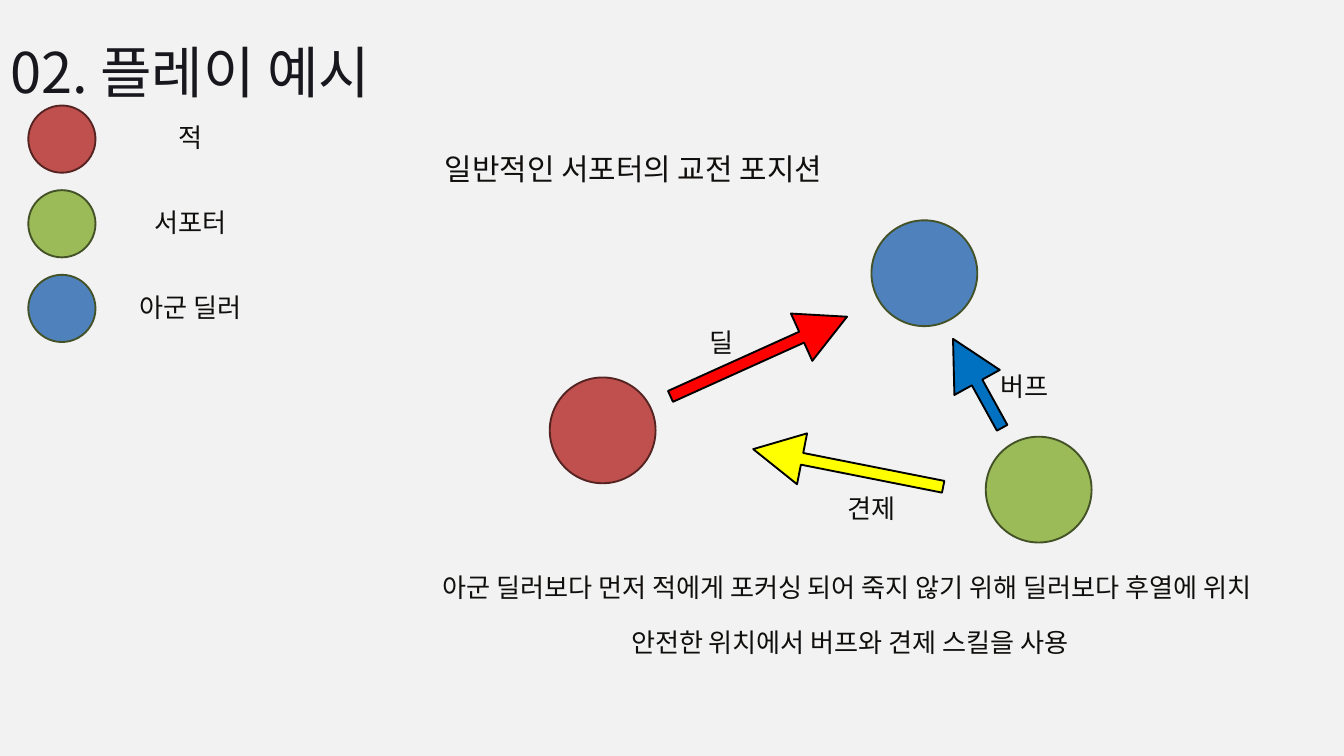
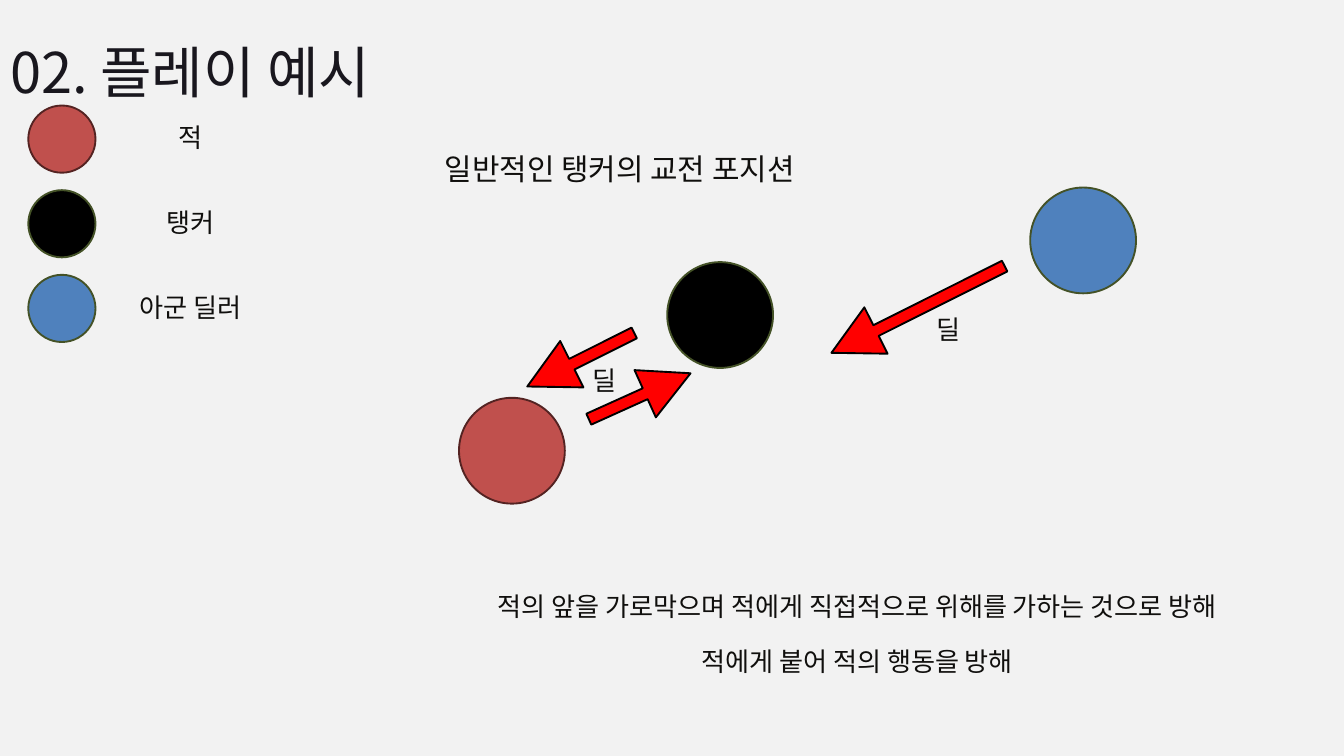
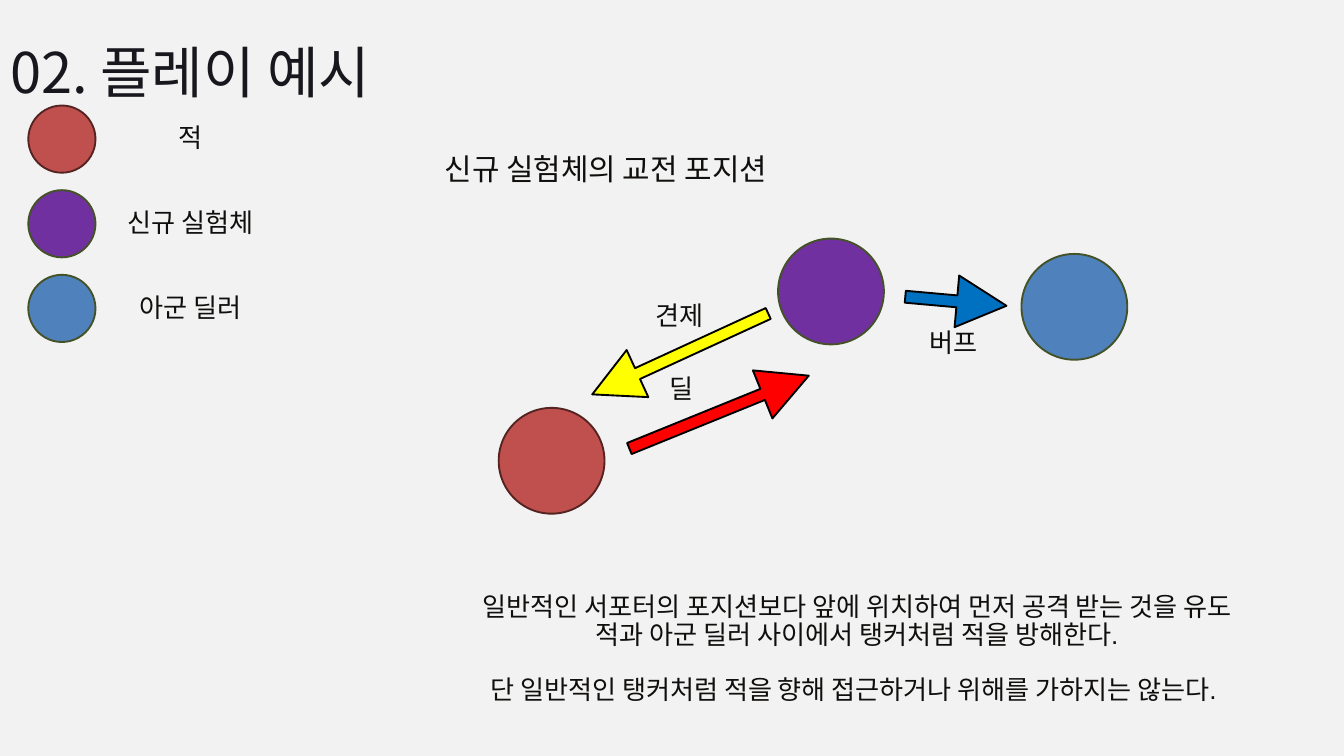
from pptx import Presentation
from pptx.dml.color import RGBColor
from pptx.enum.shapes import MSO_SHAPE
from pptx.enum.text import MSO_AUTO_SIZE, PP_ALIGN
from pptx.oxml.ns import qn
from pptx.util import Cm, Pt
from lxml.etree import SubElement

# Colours
PAPER = RGBColor(0xF2, 0xF2, 0xF2)
INK = RGBColor(0x10, 0x0F, 0x0D)
TITLE = RGBColor(0x19, 0x17, 0x1E)
BLACK = RGBColor(0, 0, 0)
MAROON = RGBColor(0x54, 0x23, 0x22)
OLIVE = RGBColor(0x44, 0x52, 0x27)
ENEMY = RGBColor(0xC0, 0x50, 0x4D)
ALLY = RGBColor(0x4F, 0x81, 0xBD)
SUPPORT = RGBColor(0x9B, 0xBB, 0x59)
TANKER = BLACK
NEWCOMER = RGBColor(0x70, 0x30, 0xA0)
DAMAGE = RGBColor(0xFF, 0, 0)
BUFF = RGBColor(0, 0x70, 0xC0)
CHECK = RGBColor(0xFF, 0xFF, 0)

# Fonts and sizes
HANGUL = "Noto Sans CJK KR"
LATIN = "Arial"
LEADING = 29.5
DISC, DOT, STEP = 4, 2.54, 3.2
LONG, SHORT = 7.32, 3.84


class Deck:
    def __init__(self):
        self.prs = Presentation()
        self.prs.slide_width, self.prs.slide_height = Cm(50.8), Cm(28.58)
        self.slide = self.shapes = None

    def page(self, heading, role, color):
        """Start a slide with its title, legend and heading."""
        self.slide = self.prs.slides.add_slide(self.prs.slide_layouts[6])
        self.shapes = self.slide.shapes
        fill = self.slide.background.fill
        fill.solid()
        fill.fore_color.rgb = PAPER
        self.text(["02. 플레이 예시"], 0.38, -0.53, 31.78, 4.04, size=60,
                  align=PP_ALIGN.JUSTIFY, font=HANGUL, color=TITLE, leading=126.7)
        legend = [("적", ENEMY), (role, color), ("아군 딜러", ALLY)]
        for row, (name, tint) in enumerate(legend):
            self.disc(tint, 1.07, 3.99 + row * STEP, DOT)
            self.label(name, 2.34, 4.75 + row * STEP)
        self.text([heading], 16.81, 6.02, 17.17, 1.07, size=32, align=PP_ALIGN.LEFT)

    def group(self):
        """Collect the following elements in one group."""
        self.shapes = self.slide.shapes.add_group_shape().shapes

    def ungroup(self):
        self.shapes = self.slide.shapes

    def shape(self, kind, fill, line, x, y, w, h):
        item = self.shapes.add_shape(kind, Cm(x), Cm(y), Cm(w), Cm(h))
        item.shadow.inherit = False
        item.fill.solid()
        item.fill.fore_color.rgb = fill
        item.line.color.rgb = line
        item.line.width = Pt(2)
        return item

    def disc(self, fill, x, y, size=DISC):
        line = MAROON if fill == ENEMY else OLIVE
        self.shape(MSO_SHAPE.OVAL, fill, line, x, y, size, size)

    def arrow(self, fill, x, y, length, angle):
        item = self.shape(MSO_SHAPE.RIGHT_ARROW, fill, BLACK, x, y, length, 1.96)
        item.adjustments[0] = 0.23
        item.adjustments[1] = 0.96
        item.rotation = angle

    def text(self, lines, x, y, w, h, size=28, align=PP_ALIGN.CENTER,
             font=LATIN, color=INK, leading=LEADING, gaps=()):
        """Write lines; those whose index is in gaps get a line of space before."""
        frame = self.shapes.add_textbox(Cm(x), Cm(y), Cm(w), Cm(h)).text_frame
        frame.margin_left = frame.margin_right = 0
        frame.margin_top = frame.margin_bottom = 0
        frame.word_wrap = True
        frame.auto_size = MSO_AUTO_SIZE.SHAPE_TO_FIT_TEXT
        frame.text = "\n".join(lines)
        for row, para in enumerate(frame.paragraphs):
            para.alignment = align
            para.line_spacing = Pt(leading)
            if row in gaps:
                para.space_before = Pt(leading)
            for run in para.runs:
                run.font.size = Pt(size)
                run.font.color.rgb = color
                run.font.name = font
                SubElement(run.font._element, qn("a:ea"), typeface=HANGUL)

    def label(self, words, x, y):
        self.text([words], x, y, 9.73, 1.09)


def main():
    deck = Deck()

    # Support position
    deck.page("일반적인 서포터의 교전 포지션", "서포터", SUPPORT)
    deck.group()
    deck.disc(ALLY, 32.94, 8.33)
    deck.disc(ENEMY, 20.78, 14.27)
    deck.arrow(DAMAGE, 25.02, 12.5, LONG, 335.7)
    deck.disc(SUPPORT, 37.26, 16.51)
    deck.arrow(BUFF, 35.03, 13.51, SHORT, 241.1)
    deck.arrow(CHECK, 28.4, 16.71, LONG, 191.2)
    deck.label("버프", 33.86, 14.15)
    deck.label("딜", 22.4, 12.5)
    deck.label("견제", 28.09, 18.75)
    deck.ungroup()
    deck.text(["아군 딜러보다 먼저 적에게 포커싱 되어 죽지 않기 위해 딜러보다 후열에 위치 ",
               "안전한 위치에서 버프와 견제 스킬을 사용"],
              14.63, 21.74, 34.98, 3.2, gaps=[1])

    # Tanker position
    deck.page("일반적인 탱커의 교전 포지션", "탱커", TANKER)
    deck.group()
    deck.disc(ALLY, 38.94, 7.09)
    deck.disc(ENEMY, 17.35, 15.04)
    deck.arrow(DAMAGE, 22.07, 14, 4.22, 335.7)
    deck.disc(TANKER, 25.22, 9.91)
    deck.arrow(DAMAGE, 31.04, 10.72, LONG, 153.4)
    deck.label("딜", 17.98, 13.92)
    deck.label("딜", 30.99, 12.01)
    deck.ungroup()
    deck.text(["적의 앞을 가로막으며 적에게 직접적으로 위해를 가하는 것으로 방해",
               "적에게 붙어 적의 행동을 방해"],
              16.51, 22.48, 31.78, 3.2, gaps=[1])
    deck.arrow(DAMAGE, 19.69, 12.62, 4.52, 153.4)

    # Newcomer position
    deck.page("신규 실험체의 교전 포지션", "신규 실험체", NEWCOMER)
    deck.group()
    deck.disc(ALLY, 38.61, 9.6)
    deck.disc(ENEMY, 18.85, 15.42)
    deck.arrow(DAMAGE, 23.52, 14.6, LONG, 337.9)
    deck.disc(NEWCOMER, 29.41, 9.02)
    deck.arrow(BUFF, 34.21, 10.41, SHORT, 5.1)
    deck.arrow(CHECK, 22.05, 12.4, LONG, 155.3)
    deck.label("버프", 31.17, 12.5)
    deck.label("딜", 20.88, 14.22)
    deck.label("견제", 20.83, 11.48)
    deck.ungroup()
    deck.text(["일반적인 서포터의 포지션보다 앞에 위치하여 먼저 공격 받는 것을 유도",
               "적과 아군 딜러 사이에서 탱커처럼 적을 방해한다.",
               "단 일반적인 탱커처럼 적을 향해 접근하거나 위해를 가하지는 않는다. "],
              16.51, 22.48, 31.78, 4.27, gaps=[2])

    deck.prs.save("out.pptx")


if __name__ == "__main__":
    main()
